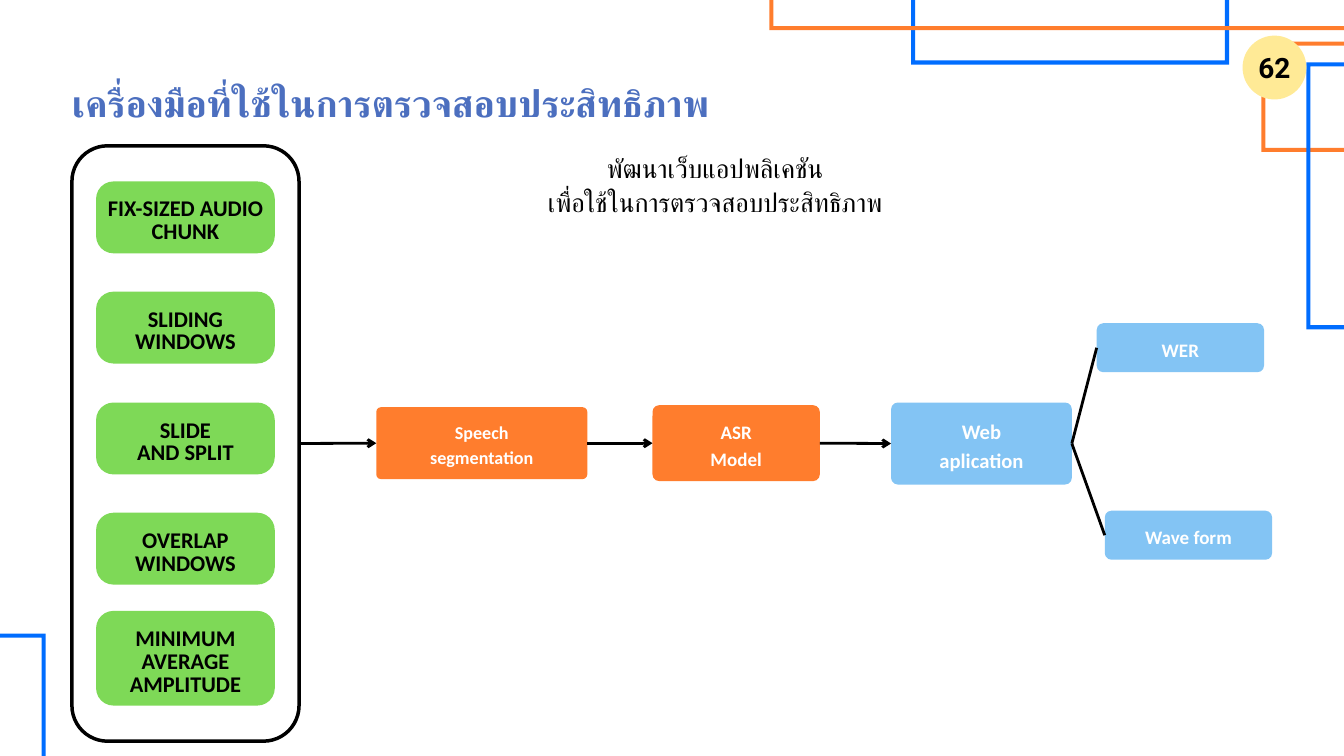
from lxml.etree import SubElement
from pptx import Presentation
from pptx.dml.color import RGBColor
from pptx.enum.shapes import MSO_CONNECTOR as Connector, MSO_SHAPE as Shape
from pptx.enum.text import MSO_ANCHOR as Anchor, MSO_AUTO_SIZE as AutoSize, PP_ALIGN as Align
from pptx.oxml.ns import qn
from pptx.util import Inches, Pt

color = RGBColor.from_string
BLUE, ORANGE, SKY, GREEN = "006DFF", "FF7D2D", "83C4F4", "7ED957"
BLACK, WHITE = "000000", "FFFFFF"


def add_box(kind, place, fill, adjustment=None):
    box = page.shapes.add_shape(kind, *map(Inches, place))
    box.shadow.inherit = False
    box.line.fill.background()
    if fill:
        box.fill.solid()
        box.fill.fore_color.rgb = color(fill)
    else:
        box.fill.background()
    if adjustment is not None:
        box.adjustments[0] = adjustment / min(place[2:])
    return box


def write(box, lines, size, spacing, ink, insets=(0, 0, 0, 0), bold=True,
          align=Align.CENTER, anchor=Anchor.MIDDLE, font="Calibri", tracking=0):
    frame = box.text_frame
    left, top, right, bottom = map(Inches, insets)
    layout = {"word_wrap": True, "auto_size": AutoSize.NONE, "vertical_anchor": anchor,
              "margin_left": left, "margin_top": top,
              "margin_right": right, "margin_bottom": bottom}
    for name, value in layout.items():
        setattr(frame, name, value)
    for index, line in enumerate(lines):
        para = frame.add_paragraph() if index else frame.paragraphs[0]
        para.alignment = align
        para.line_spacing = Pt(spacing)
        span = para.add_run()
        span.text = line
        for name, value in {"name": font, "size": Pt(size), "bold": bold}.items():
            setattr(span.font, name, value)
        span.font.color.rgb = color(ink)
        properties = span._r.get_or_add_rPr()
        SubElement(properties, qn("a:cs")).set("typeface", font)
        if tracking:
            properties.set("spc", str(tracking))


deck = Presentation()
deck.slide_width, deck.slide_height = Inches(20), Inches(11.25)
page = deck.slides.add_slide(deck.slide_layouts[5])

title = page.shapes.title
title.left, title.top, title.width, title.height = map(Inches, (1.07, 1.14, 10.32, 0.7))
write(title, ["เครื่องมือที่ใช้ในการตรวจสอบประสิทธิภาพ"], 40, 52, "4C6FBF",
      align=Align.LEFT, anchor=Anchor.TOP, tracking=20)

frames = [
    ((13.56, -0.38, 4.73, 1.34), BLUE),
    ((-0.67, 9.43, 1.35, 2.23), BLUE),
    ((11.45, -0.37, 8.73, 0.82), ORANGE),
    ((18.77, 0.62, 1.58, 1.64), ORANGE),
    ((19.44, 0.93, 0.91, 3.97), BLUE),
]
for place, fill in frames:
    add_box(Shape.FRAME, place, fill, 0.06)

subtitle = page.shapes.add_textbox(*map(Inches, (6.1, 2.23, 9.08, 1)))
write(subtitle, ["พัฒนาเว็บแอปพลิเคชัน", "เพื่อใช้ในการตรวจสอบประสิทธิภาพ"], 28, 36.4, BLACK,
      bold=False, anchor=Anchor.TOP, tracking=10)

methods_panel = add_box(Shape.ROUNDED_RECTANGLE, (1.07, 2.17, 3.38, 8.86), None, 0.53)
methods_panel.line.color.rgb = color(BLACK)
methods_panel.line.width = Pt(3.75)

methods = [
    (2.7, 1.07, ["FIX-SIZED AUDIO CHUNK"]),
    (4.34, 1.07, ["SLIDING WINDOWS"]),
    (5.99, 1.07, ["SLIDE", "AND SPLIT"]),
    (7.63, 1.07, ["OVERLAP", "WINDOWS"]),
    (9.09, 1.41, ["MINIMUM AVERAGE AMPLITUDE"]),
]
for top, height, lines in methods:
    method = add_box(Shape.ROUNDED_RECTANGLE, (1.43, top, 2.66, height), GREEN, 0.26)
    write(method, lines, 24, 24.5, BLACK, insets=(0, 0.12, 0, 0))

steps = [
    ((5.6, 6.06, 3.14, 1.07), ORANGE, 0.07, ["Speech segmentation"], 19.4),
    ((9.71, 6.03, 2.49, 1.13), ORANGE, 0.1, ["ASR", "Model"], 20.4),
    ((13.26, 5.99, 2.69, 1.22), SKY, 0.1, ["Web aplication"], 22.1),
    ((16.32, 4.81, 2.49, 0.73), SKY, 0.1, ["WER"], 20.4),
    ((16.44, 7.6, 2.49, 0.73), SKY, 0.1, ["Wave form"], 20.4),
]
step_boxes = []
for place, fill, radius, lines, size in steps:
    step = add_box(Shape.ROUNDED_RECTANGLE, place, fill, radius)
    side = 0.19 * place[2]
    write(step, lines, size, round(size * 1.4, 1), WHITE, insets=(side, 0, side, 0))
    step_boxes.append(step)

speech, asr, web, wer, wave = step_boxes
links = [
    (web, wer, False),
    (web, wave, False),
    (methods_panel, speech, True),
    (speech, asr, True),
    (asr, web, True),
]
for source, target, has_arrow in links:
    link = page.shapes.add_connector(Connector.STRAIGHT, 0, 0, 0, 0)
    link.begin_connect(source, 3)
    link.end_connect(target, 1)
    link.line.color.rgb = color(BLACK)
    link.line.width = Pt(3)
    if has_arrow:
        SubElement(link.line._get_or_add_ln(), qn("a:tailEnd")).set("type", "arrow")
    SubElement(link._element.spPr, qn("a:effectLst"))

page_number = add_box(Shape.OVAL, (18.49, 0.53, 0.95, 0.95), "FFEA96")
write(page_number, ["62"], 30, 42, BLACK, insets=(0, 0, 0, 0.09), font="Roboto")

deck.save("out.pptx")
